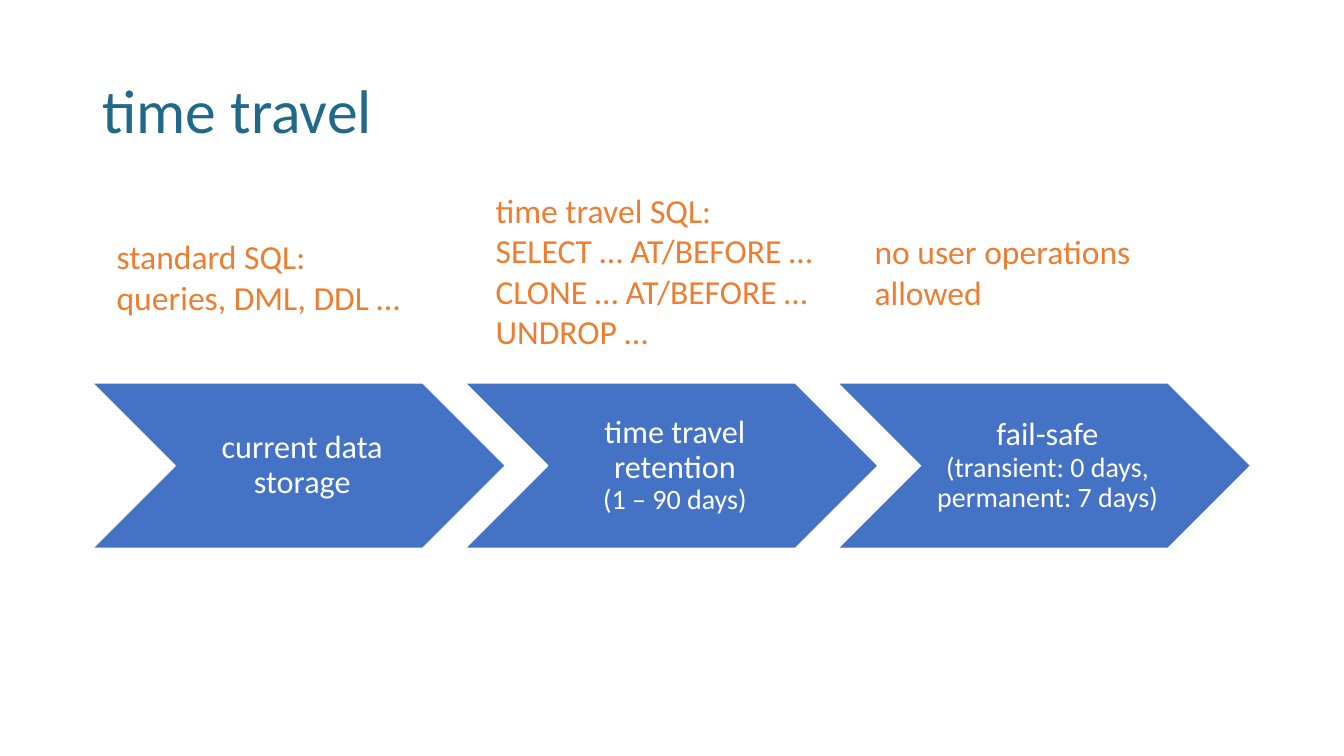
from pptx import Presentation
from pptx.dml.color import RGBColor
from pptx.enum.shapes import MSO_SHAPE
from pptx.enum.text import MSO_ANCHOR, PP_ALIGN
from pptx.util import Cm, Pt

TITLE = "time travel"
STAGES = [
    [("current data storage", 23)],
    [("time travel retention", 23), ("(1 – 90 days)", 20)],
    [("fail-safe", 23), ("(transient: 0 days, permanent: 7 days)", 20)],
]
OPERATIONS = [
    (["standard SQL:", "queries, DML, DDL …"], 5.41, 8.76, 3.12),
    (["time travel SQL:", "SELECT … AT/BEFORE …", "CLONE … AT/BEFORE …", "UNDROP …"],
     4.62, 8.76, 4.39),
    (["no user operations allowed"], 5.28, 9.75, 3.12),
]

FONT = "Calibri"
TEAL = RGBColor(0x21, 0x69, 0x89)
BLUE = RGBColor(0x44, 0x72, 0xC4)
ORANGE = RGBColor(0xED, 0x7D, 0x31)
WHITE = RGBColor(0xFF, 0xFF, 0xFF)

LEFT = 2.33
STAGE_TOP, STAGE_WIDTH, STAGE_HEIGHT, STAGE_PITCH = 9.65, 10.41, 4.17, 9.39
OPERATION_LEFT, OPERATION_PITCH = 2.69, 9.55


def add_run(paragraph, words, size, color):
    run = paragraph.add_run()
    run.text = words
    run.font.name = FONT
    run.font.size = Pt(size)
    run.font.color.rgb = color


def add_block(slide, kind, left, top, width, height, fill):
    block = slide.shapes.add_shape(kind, Cm(left), Cm(top), Cm(width), Cm(height))
    block.shadow.inherit = False
    block.fill.solid()
    block.fill.fore_color.rgb = fill
    block.text_frame.word_wrap = True
    block.text_frame.vertical_anchor = MSO_ANCHOR.MIDDLE
    return block


def add_title(slide):
    title = slide.shapes.title
    title.left, title.top, title.width, title.height = Cm(LEFT), Cm(1.01), Cm(29.21), Cm(3.68)
    title.text_frame.vertical_anchor = MSO_ANCHOR.MIDDLE
    heading = title.text_frame.paragraphs[0]
    heading.alignment = PP_ALIGN.LEFT
    heading.line_spacing = 0.9
    add_run(heading, TITLE, 44, TEAL)


def add_stage(slide, index, parts):
    stage = add_block(slide, MSO_SHAPE.CHEVRON, LEFT + index * STAGE_PITCH,
                      STAGE_TOP, STAGE_WIDTH, STAGE_HEIGHT, BLUE)
    stage.line.color.rgb = WHITE
    stage.line.width = Pt(1)
    frame = stage.text_frame
    frame.margin_left = Cm(0.25)
    frame.margin_top = frame.margin_right = frame.margin_bottom = Cm(0.08)
    label = frame.paragraphs[0]
    label.alignment = PP_ALIGN.CENTER
    label.line_spacing = 0.9
    label.space_after = Pt(8)
    for position, (words, size) in enumerate(parts):
        if position:
            label.add_line_break()
        add_run(label, words, size, WHITE)


def add_operation(slide, index, lines, top, width, height):
    operation = add_block(slide, MSO_SHAPE.RECTANGLE, OPERATION_LEFT + index * OPERATION_PITCH,
                          top, width, height, WHITE)
    operation.line.fill.background()
    frame = operation.text_frame
    for position, words in enumerate(lines):
        paragraph = frame.add_paragraph() if position else frame.paragraphs[0]
        paragraph.alignment = PP_ALIGN.LEFT
        add_run(paragraph, words, 24, ORANGE)


def main():
    deck = Presentation()
    deck.slide_width, deck.slide_height = Cm(33.87), Cm(19.05)
    slide = deck.slides.add_slide(deck.slide_layouts[5])
    add_title(slide)
    for index, parts in enumerate(STAGES):
        add_stage(slide, index, parts)
    for index, operation in enumerate(OPERATIONS):
        add_operation(slide, index, *operation)
    deck.save("out.pptx")


if __name__ == "__main__":
    main()
